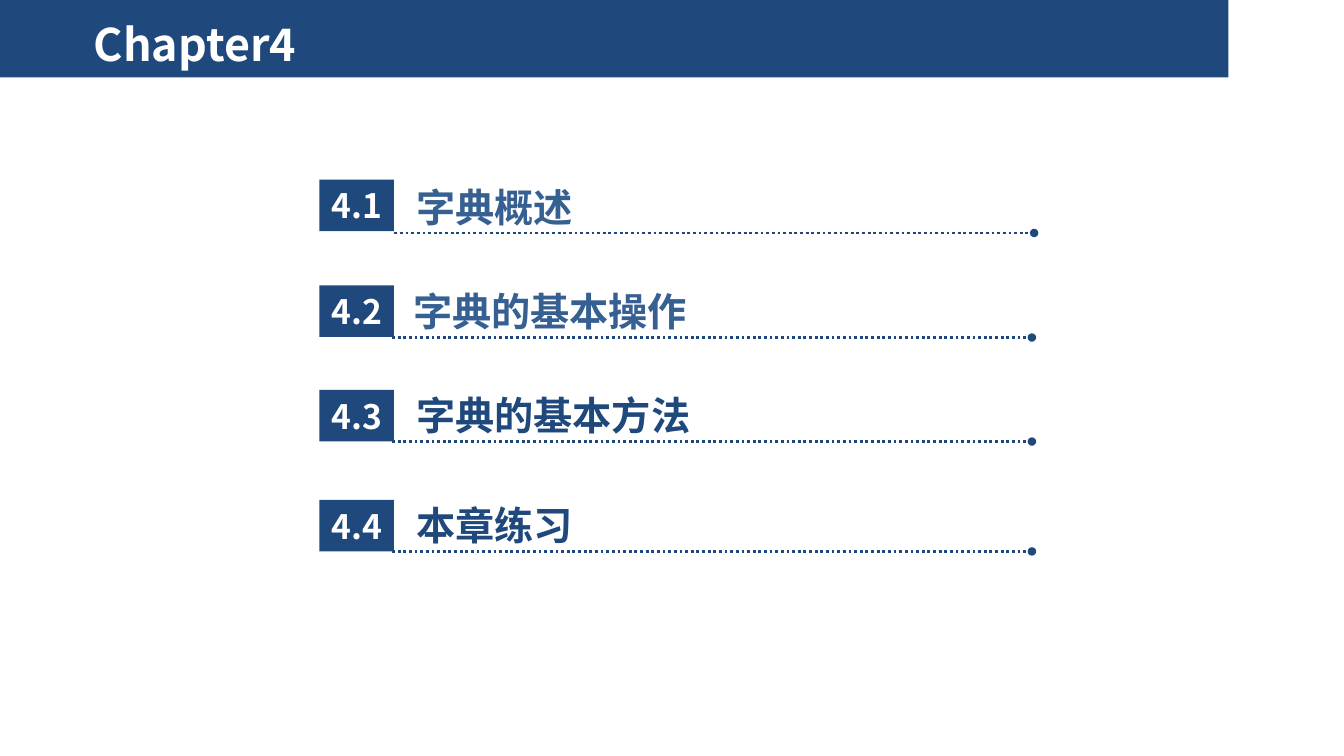
import pptx
import pptx.dml.color
import pptx.enum.dml
import pptx.enum.shapes
import pptx.enum.text
import pptx.oxml.ns
import pptx.util
from lxml import etree

Pt = pptx.util.Pt
NAVY = pptx.dml.color.RGBColor(0x1F, 0x49, 0x7D)
BLUE = pptx.dml.color.RGBColor(0x37, 0x60, 0x92)
WHITE = pptx.dml.color.RGBColor(0xFF, 0xFF, 0xFF)
FONT = "Noto Sans CJK SC"
ANCHOR = pptx.enum.text.MSO_ANCHOR
ALIGN = pptx.enum.text.PP_ALIGN

# number, heading, heading colour, badge top, rule top, heading left, rule left
SECTIONS = [
    ("4.1", "字典概述", BLUE, 128.3, 166.4, 290.2, 281.7),
    ("4.2", "字典的基本操作", BLUE, 203.9, 241.1, 288, 280.1),
    ("4.3", "字典的基本方法", NAVY, 278.6, 315.4, 290.2, 280.1),
    ("4.4", "本章练习", NAVY, 357.1, 393.9, 290.2, 280.1),
]


def add_block(slide, left, top, width, height):
    """Add a plain navy rectangle."""
    block = slide.shapes.add_shape(
        pptx.enum.shapes.MSO_SHAPE.RECTANGLE, Pt(left), Pt(top), Pt(width), Pt(height))
    block.shadow.inherit = False
    block.fill.solid()
    block.fill.fore_color.rgb = NAVY
    block.line.fill.background()
    return block


def write_text(shape, text, size, color, anchor, align=ALIGN.LEFT):
    frame = shape.text_frame
    frame.text = text
    frame.word_wrap = True
    frame.vertical_anchor = anchor
    paragraph = frame.paragraphs[0]
    paragraph.alignment = align
    run = paragraph.runs[0]
    run.font.size = Pt(size)
    run.font.bold = True
    run.font.color.rgb = color
    run.font.name = FONT
    east_asian = etree.SubElement(run._r.get_or_add_rPr(), pptx.oxml.ns.qn("a:ea"))
    east_asian.set("typeface", FONT)


def add_text(slide, left, top, width, height, text, size, color, anchor):
    box = slide.shapes.add_textbox(Pt(left), Pt(top), Pt(width), Pt(height))
    write_text(box, text, size, color, anchor)


def add_rule(slide, left, top, width):
    """Add a dotted line that ends in a round dot."""
    rule = slide.shapes.add_connector(
        pptx.enum.shapes.MSO_CONNECTOR.STRAIGHT,
        Pt(left), Pt(top), Pt(left + width), Pt(top))
    rule.line.color.rgb = NAVY
    rule.line.width = Pt(2)
    rule.line.dash_style = pptx.enum.dml.MSO_LINE.ROUND_DOT
    dot = etree.SubElement(rule.line._get_or_add_ln(), pptx.oxml.ns.qn("a:tailEnd"))
    dot.set("type", "oval")
    etree.SubElement(rule._element.spPr, pptx.oxml.ns.qn("a:effectLst"))


def add_header(slide, left, top, width, height, title):
    add_block(slide, left, top, width, height)
    add_text(slide, left + 60, top + 6, width - 60, height - 5,
             title, 32, WHITE, ANCHOR.MIDDLE)


def add_contents(slide, left):
    for number, heading, color, badge_top, rule_top, heading_left, rule_left in SECTIONS:
        badge = add_block(slide, left, badge_top, 53.2, 36.8)
        badge.text_frame.margin_left = badge.text_frame.margin_right = 0
        write_text(badge, number, 24, WHITE, ANCHOR.MIDDLE, ALIGN.CENTER)
        add_text(slide, heading_left, rule_top - 39.2, 442, 41,
                 heading, 28, color, ANCHOR.TOP)
        add_rule(slide, rule_left, rule_top, 457)


def main():
    presentation = pptx.Presentation()
    presentation.slide_width = Pt(960)
    presentation.slide_height = Pt(540)
    slide = presentation.slides.add_slide(presentation.slide_layouts[6])
    add_header(slide, 0, 0, 877.5, 55.4, "Chapter4")
    add_contents(slide, 228.2)
    presentation.save("out.pptx")


if __name__ == "__main__":
    main()
